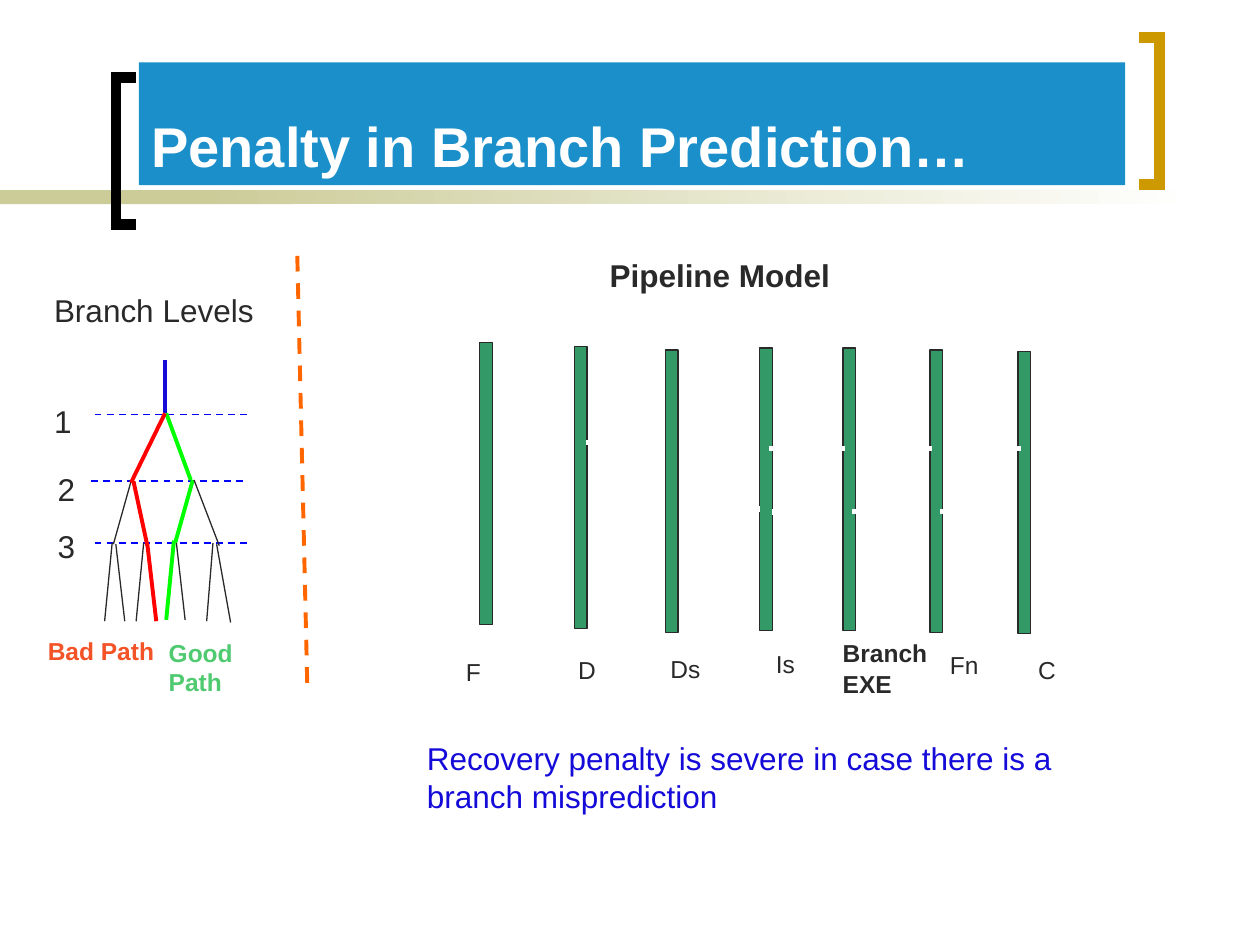
"""Build the slide on the penalty of a mispredicted branch in a pipeline."""
from lxml.etree import SubElement
from pptx import Presentation
from pptx.dml.color import RGBColor
from pptx.enum.dml import MSO_LINE
from pptx.enum.shapes import MSO_CONNECTOR, MSO_SHAPE
from pptx.enum.text import MSO_ANCHOR, MSO_AUTO_SIZE
from pptx.oxml.ns import qn
from pptx.util import Pt

WHITE = RGBColor(0xFF, 0xFF, 0xFF)
BLACK = RGBColor(0x00, 0x00, 0x00)
INK = RGBColor(0x29, 0x29, 0x29)
KHAKI = RGBColor(0xCC, 0xCC, 0x99)
GOLD = RGBColor(0xCC, 0x99, 0x00)
TITLE_BLUE = RGBColor(0x1A, 0x8F, 0xCA)
STAGE_GREEN = RGBColor(0x33, 0x99, 0x66)
DEEP_BLUE = RGBColor(0x15, 0x0B, 0xD9)
LEVEL_BLUE = RGBColor(0x00, 0x00, 0xFF)
ORANGE = RGBColor(0xFF, 0x66, 0x00)
GOOD_LINE = RGBColor(0x00, 0xFF, 0x00)
BAD_LINE = RGBColor(0xFF, 0x00, 0x00)
GOOD_TEXT = RGBColor(0x50, 0xCA, 0x70)
BAD_TEXT = RGBColor(0xF3, 0x53, 0x27)

deck = Presentation()
deck.slide_width, deck.slide_height = Pt(720), Pt(540)
page = deck.slides.add_slide(deck.slide_layouts[6])


def add_line(left, top, right, bottom, color, width, dash=None):
    line = page.shapes.add_connector(
        MSO_CONNECTOR.STRAIGHT, Pt(left), Pt(top), Pt(right), Pt(bottom))
    line.line.color.rgb = color
    for name, value in {"width": Pt(width), "dash_style": dash}.items():
        setattr(line.line, name, value)
    SubElement(line._element.spPr, qn("a:effectLst"))


def add_text(text, left, top, width, height, size, color=INK, bold=False, spacing=None):
    box = page.shapes.add_textbox(Pt(left), Pt(top), Pt(width), Pt(height))
    frame_format = {"word_wrap": True, "auto_size": MSO_AUTO_SIZE.SHAPE_TO_FIT_TEXT}
    for name, value in frame_format.items():
        setattr(box.text_frame, name, value)
    box.text_frame.text = text
    for index, para in enumerate(box.text_frame.paragraphs):
        para.line_spacing = spacing
        if index:
            para.space_before = Pt(8.8)
        span = para.runs[0]
        span.font.color.rgb = color
        for name, value in {"name": "Arial", "size": Pt(size), "bold": bold}.items():
            setattr(span.font, name, value)


for left, width in ((0, 167.8), (113.8, 570.2)):
    band = page.shapes.add_shape(
        MSO_SHAPE.RECTANGLE, Pt(left), Pt(108.7), Pt(width), Pt(7.9))
    band.shadow.inherit = False
    band.line.fill.background()
    if left:
        band.fill.gradient()
        band.fill.gradient_angle = 0
        for stop, color in zip(band.fill.gradient_stops, (KHAKI, WHITE)):
            stop.color.rgb = color
    else:
        band.fill.solid()
        band.fill.fore_color.rgb = KHAKI

for open_x, spine_x, top, color in ((78, 66.2, 44.2, BLACK), (651, 662.6, 21.4, GOLD)):
    builder = page.shapes.build_freeform(Pt(open_x), Pt(top))
    corners = ((spine_x, top), (spine_x, top + 84.2), (open_x, top + 84.2))
    builder.add_line_segments([(Pt(x), Pt(y)) for x, y in corners], close=False)
    bracket = builder.convert_to_shape()
    bracket.shadow.inherit = False
    bracket.fill.background()
    bracket.line.color.rgb = color
    bracket.line.width = Pt(6)
    SubElement(bracket.line._get_or_add_ln(), qn("a:miter"), lim="800000")

title = page.shapes.add_shape(
    MSO_SHAPE.RECTANGLE, Pt(79.4), Pt(35.6), Pt(563.6), Pt(70.2))
title.shadow.inherit = False
title.fill.solid()
title.fill.fore_color.rgb = TITLE_BLUE
title.line.fill.background()
title.text_frame.vertical_anchor = MSO_ANCHOR.BOTTOM
para = title.text_frame.paragraphs[0]
para.alignment = 1
span = para.add_run()
span.text = "Penalty in Branch Prediction…"
span.font.color.rgb = WHITE
for name, value in {"name": "Arial", "size": Pt(32), "bold": True}.items():
    setattr(span.font, name, value)

stages = ((274.2, 195.8), (328.3, 198), (380.2, 200), (434.2, 198.9),
          (481.7, 198.9), (531.4, 200), (581.8, 200.9))
for left, top in stages:
    bar = page.shapes.add_shape(
        MSO_SHAPE.RECTANGLE, Pt(left), Pt(top), Pt(7.2), Pt(161.3))
    bar.shadow.inherit = False
    bar.fill.solid()
    bar.fill.fore_color.rgb = STAGE_GREEN
    bar.line.color.rgb = INK
    bar.line.width = Pt(0.75)

add_line(169.9, 146.2, 175.7, 396, ORANGE, 2.25, MSO_LINE.DASH)

for left, top in ((54, 236.9), (51.8, 275), (54, 310.3)):
    add_line(left, top, left + 87.8, top, LEVEL_BLUE, 1, MSO_LINE.DASH)

branches = (
    (DEEP_BLUE, 2.25, ((94.3, 205.9, 94.3, 236.2),)),
    (GOOD_LINE, 2.25, ((95, 236.2, 109, 274.3), (110.2, 274.3, 100.1, 310.3),
                       (99.4, 308.9, 95, 354.2))),
    (INK, 0.75, ((100.8, 310.3, 105.8, 354.2), (110.9, 274.3, 125.3, 311.8),
                 (74.9, 275, 64.8, 311), (121.7, 310.3, 118.1, 355),
                 (123.8, 311, 131.8, 355.7), (82.1, 310.3, 77.8, 355),
                 (64.1, 310.3, 59.8, 355), (66.2, 311, 71.3, 355))),
    (BAD_LINE, 2.25, ((94.3, 236.2, 74.9, 275.8), (76.3, 275, 84.2, 311.8),
                      (84.2, 311, 89.3, 355))),
)
for color, width, segments in branches:
    for segment in segments:
        add_line(*segment, color, width)

flows = ((228.2, 252.7), (282.2, 254.2), (334.8, 252.7), (388.1, 254.9),
         (439.2, 256.3), (488.9, 256.3), (539.3, 256.3),
         (229, 288.7), (283, 290.2), (336.2, 288.7), (390.2, 290.9),
         (441.4, 292.6), (486.7, 292.3), (537.1, 292.3))
for left, top in flows:
    length = 39.6 if left == 441.4 else 43.9
    add_line(left, top, left + length, top, WHITE, 3)

add_text("Pipeline Model", 341.3, 142.6, 154.1, 28.8, 18, bold=True)
add_text("Branch Levels", 23.8, 162.7, 146.2, 28.8, 18)
for label, left, top in (("1", 23.8, 226.1), ("2", 25.9, 265), ("3", 25.9, 297.4)):
    add_text(label, left, top, 25.9, 28.8, 18)

add_text("Bad Path", 20.2, 360, 77.8, 24.5, 14, BAD_TEXT, True)
add_text("Good Path", 89.3, 360.9, 66.2, 41, 14, GOOD_TEXT, True)

stage_labels = (("F", 259.2, 372.2, 25.9), ("D", 323.3, 371, 25.9),
                ("Ds", 376, 370.1, 41), ("Is", 436.3, 367.2, 35.3),
                ("Fn", 535.7, 367.9, 40.3), ("C", 586.1, 371, 40.3))
for label, left, top, width in stage_labels:
    add_text(label, left, top, width, 24.5, 14)
add_text("Branch\nEXE", 474.5, 368.6, 64.8, 33.1, 14, bold=True, spacing=0.5)

add_text("Recovery penalty is severe in case there is a branch misprediction",
         236.9, 419, 388.8, 50.4, 18, DEEP_BLUE)

deck.save("out.pptx")
